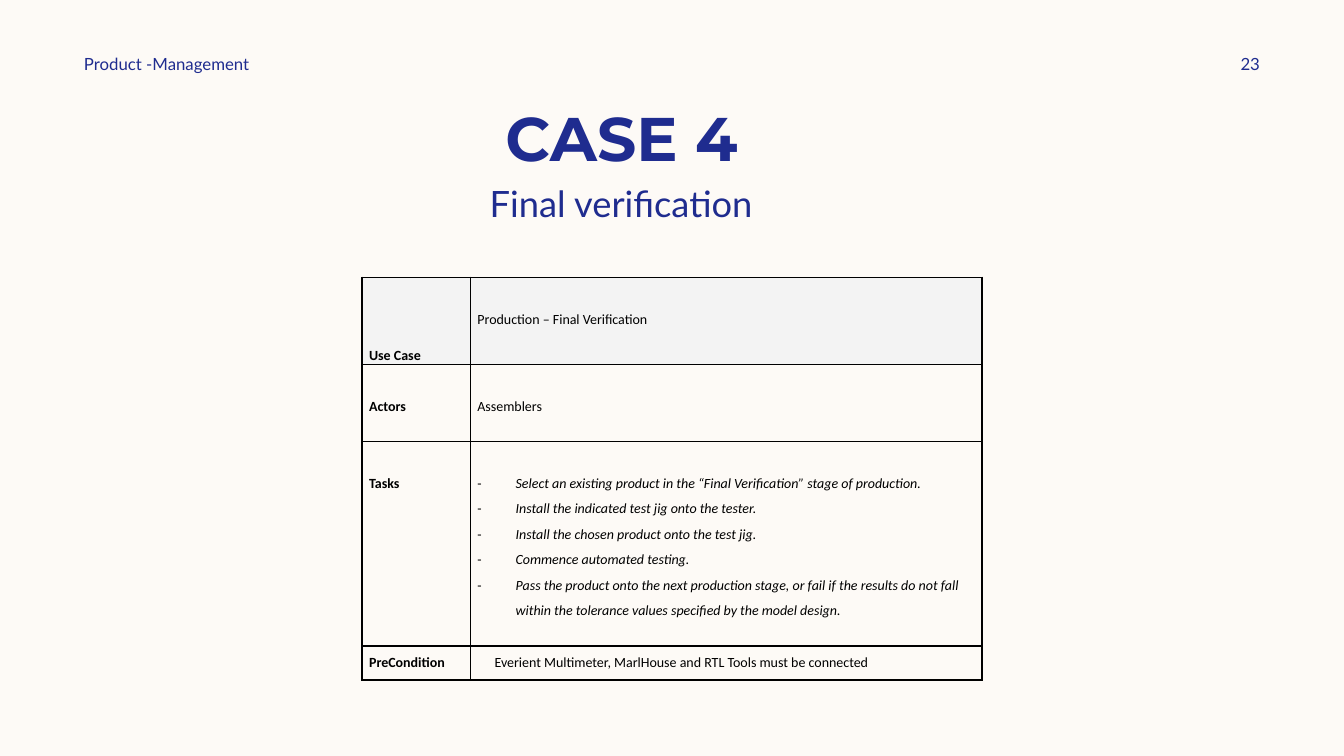
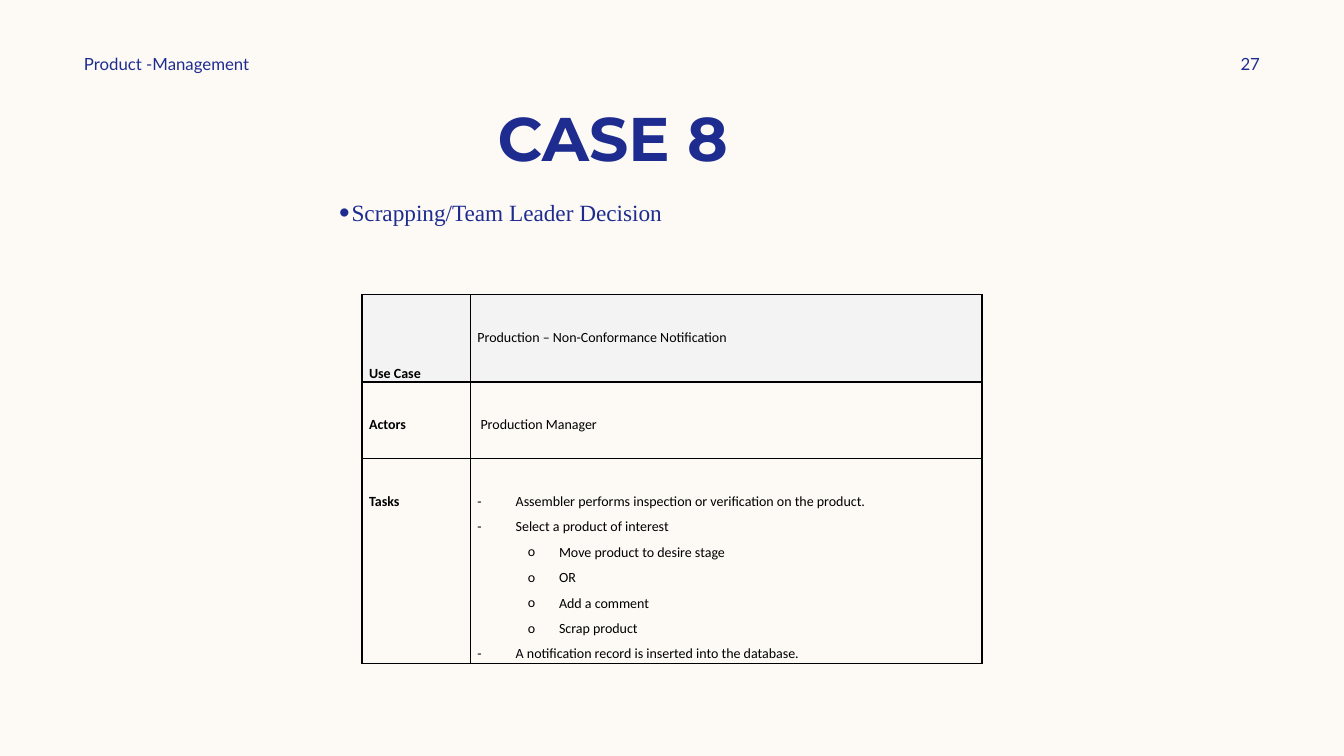
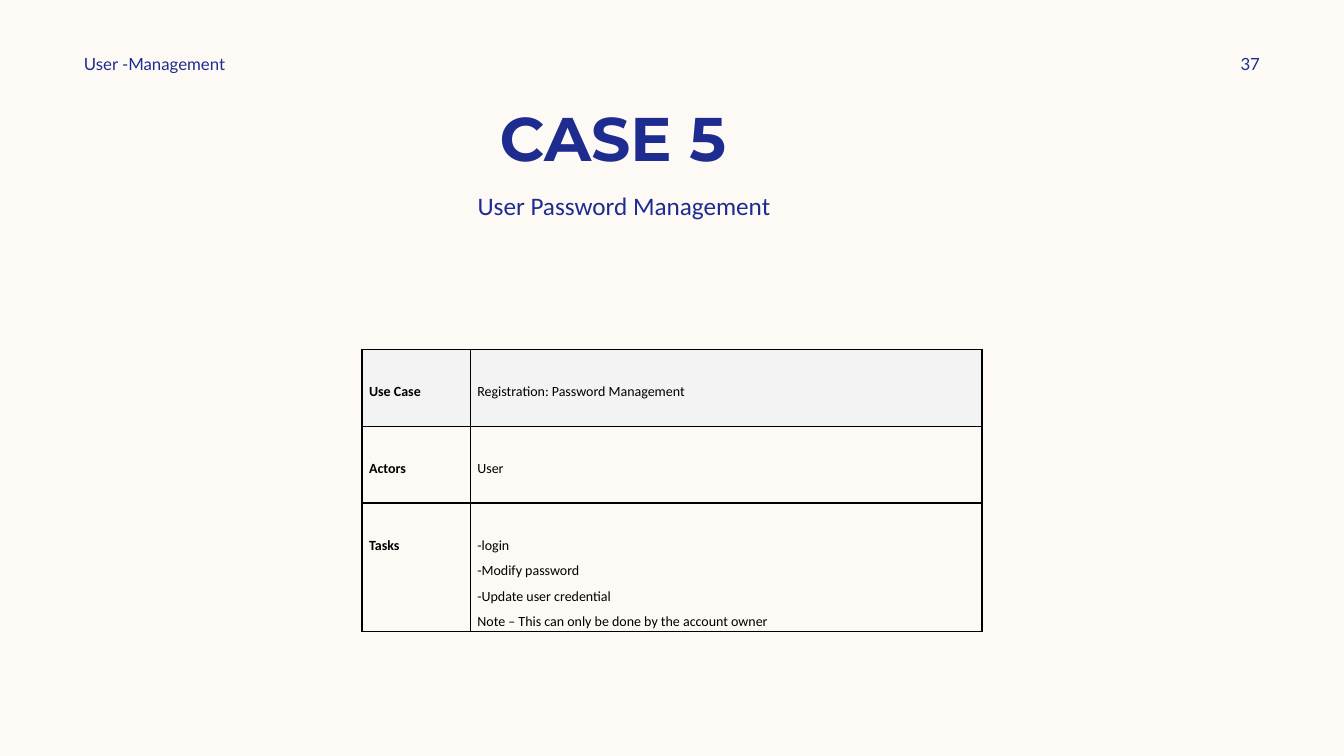
import dataclasses

import pptx
import pptx.dml.color
import pptx.enum.text
import pptx.oxml
import pptx.oxml.ns
import pptx.util

ALIGN = pptx.enum.text.PP_ALIGN
ANCHOR = pptx.enum.text.MSO_ANCHOR
Inches = pptx.util.Inches
Pt = pptx.util.Pt


@dataclasses.dataclass(frozen=True)
class Theme:
    """Colours, fonts and type sizes (points) of the deck."""
    paper: str = "FDFAF6"
    navy: str = "1F2C8F"
    ink: str = "000000"
    shade: str = "F3F3F3"
    title_font: str = "Montserrat"
    label_font: str = "Lato"
    table_font: str = "Calibri"
    title_size: float = 44
    label_size: float = 12
    table_size: float = 10
    table_spacing: float = 1.5
    table_line: float = 18.3
    border: float = 1


THEME = Theme()

# The slide is a grid of 16 columns by 9 rows
WIDTH, HEIGHT = Inches(13.33), Inches(7.5)
COLUMN, ROW = WIDTH / 16, HEIGHT / 9


def rgb(color):
    return pptx.dml.color.RGBColor.from_string(color)


def xml_part(parent, tag, **attributes):
    part = pptx.oxml.parse_xml(f"<a:{tag} {pptx.oxml.ns.nsdecls('a')}/>")
    for name, value in attributes.items():
        part.set(name, str(value))
    parent.append(part)
    return part


def write(frame, text, size=THEME.table_size, font=THEME.table_font,
          color=THEME.ink, bold=False, italic=False, align=ALIGN.LEFT,
          spacing=1.0, bullet=None, left=0, hang=0, level=0):
    """Add one paragraph; left and hang are indents in inches."""
    para = frame.paragraphs[0]
    if para.runs:
        para = frame.add_paragraph()
    para.level = level
    properties = para._p.get_or_add_pPr()
    properties.set("marL", str(Inches(left)))
    properties.set("indent", str(-Inches(hang)))
    if bullet:
        xml_part(properties, "buFont", typeface=THEME.table_font)
        xml_part(properties, "buChar", char=bullet)
    else:
        xml_part(properties, "buNone")
    para.alignment = align
    para.line_spacing = spacing
    para.space_before = para.space_after = Pt(0)
    span = para.add_run()
    span.text = text
    span.font.name, span.font.size = font, Pt(size)
    span.font.bold, span.font.italic = bold, italic
    span.font.color.rgb = rgb(color)


class CaseDeck:
    """Holds the deck, its theme and the current page."""

    def __init__(self, theme):
        self.theme = theme
        self.deck = pptx.Presentation()
        self.deck.slide_width, self.deck.slide_height = WIDTH, HEIGHT
        fill = self.deck.slide_master.background.fill
        fill.solid()
        fill.fore_color.rgb = rgb(theme.paper)
        self.page = None

    def place(self, box, column, row, columns, rows, anchor):
        box.left, box.top = int(column * COLUMN), int(row * ROW)
        box.width, box.height = int(columns * COLUMN), int(rows * ROW)
        frame = box.text_frame
        frame.word_wrap = True
        frame.auto_size = pptx.enum.text.MSO_AUTO_SIZE.NONE
        frame.vertical_anchor = anchor
        return frame

    def label(self, text, column, columns, align):
        box = self.page.shapes.add_textbox(0, 0, 0, 0)
        frame = self.place(box, column, 0.6, columns, 0.32, ANCHOR.MIDDLE)
        frame.margin_left = frame.margin_right = 0
        write(frame, text, size=self.theme.label_size,
              font=self.theme.label_font, color=self.theme.navy, align=align)

    def add_page(self, section, number, title):
        self.page = self.deck.slides.add_slide(self.deck.slide_layouts[1])
        frame = self.place(self.page.shapes.title, 1, 1, 12.8, 1.13,
                           ANCHOR.BOTTOM)
        write(frame, title, size=self.theme.title_size, bold=True,
              font=self.theme.title_font, color=self.theme.navy,
              align=ALIGN.CENTER)
        self.label(section, 1, 4.2, ALIGN.LEFT)
        self.label(number, 13.7, 1.3, ALIGN.RIGHT)

    def subtitle(self, text, **text_format):
        frame = self.place(self.page.placeholders[1], 3.91, 2.2, 6.97, 0.58,
                           ANCHOR.TOP)
        write(frame, text, color=self.theme.navy, **text_format)

    def cell(self, cell, entries, shaded, top_lines, anchor):
        properties = cell._tc.get_or_add_tcPr()
        for side in ("lnL", "lnR", "lnT", "lnB"):
            line = xml_part(properties, side, w=Pt(self.theme.border))
            xml_part(xml_part(line, "solidFill"), "srgbClr",
                     val=self.theme.ink)
        if shaded:
            cell.fill.solid()
            cell.fill.fore_color.rgb = rgb(self.theme.shade)
        else:
            cell.fill.background()
        cell.margin_left = cell.margin_right = Inches(0.07)
        cell.margin_top = Pt(top_lines * self.theme.table_line)
        cell.margin_bottom = 0
        cell.vertical_anchor = anchor
        for text, text_format in entries:
            write(cell.text_frame, text, spacing=self.theme.table_spacing,
                  **text_format)

    def case_table(self, row, records, low_heading=False):
        """Each record is label, entries, height and top gap in lines."""
        widths = [int(1.29 * COLUMN), int(6.09 * COLUMN)]
        heights = [Pt(record[2] * self.theme.table_line) for record in records]
        table = self.page.shapes.add_table(
            len(records), 2, int(4.31 * COLUMN), int(row * ROW),
            sum(widths), sum(heights)).table
        table.first_row = table.horz_banding = False
        for column, width in zip(table.columns, widths):
            column.width = width
        for index, (label, entries, _, gap) in enumerate(records):
            table.rows[index].height = heights[index]
            heading = index == 0
            low = heading and low_heading
            self.cell(table.cell(index, 0), [(label, {"bold": True})], heading,
                      0 if low else gap, ANCHOR.BOTTOM if low else ANCHOR.TOP)
            self.cell(table.cell(index, 1), entries, heading, gap, ANCHOR.TOP)


def entries(*texts, **text_format):
    return [(text, text_format) for text in texts]


def main():
    cases = CaseDeck(THEME)
    dash = {"bullet": "-", "left": 0.38, "hang": 0.38}
    circle = {"bullet": "o", "left": 0.81, "hang": 0.31, "level": 1}
    tight_dash = {"bullet": "-", "left": 0.04, "hang": 0.04}

    # Final verification
    cases.add_page("Product -Management", "23", "CASE 4")
    cases.subtitle("Final verification", size=25.9, font=THEME.label_font,
                   align=ALIGN.CENTER, spacing=0.8)
    cases.case_table(3.3, [
        ("Use Case", entries("Production – Final Verification"), 3.4, 1),
        ("Actors", entries("Assemblers"), 3, 1),
        ("Tasks", entries(
            "Select an existing product in the “Final Verification” stage of "
            "production.",
            "Install the indicated test jig onto the tester.",
            "Install the chosen product onto the test jig.",
            "Commence automated testing.",
            "Pass the product onto the next production stage, or fail if the "
            "results do not fall within the tolerance values specified by the "
            "model design.", italic=True, **dash), 8, 1),
        ("PreCondition", entries(
            "Everient Multimeter, MarlHouse and RTL Tools must be connected",
            left=0.17), 1.33, 0),
    ], low_heading=True)

    # Scrapping decision
    cases.add_page("Product -Management", "27", "CASE 8 ")
    cases.subtitle("Scrapping/Team Leader Decision", size=16.6,
                   font="Times New Roman", spacing=1.3,
                   bullet="•", left=0.13, hang=0.13)
    cases.case_table(3.51, [
        ("Use Case", entries("Production – Non-Conformance Notification"),
         3.4, 1),
        ("Actors", entries(" Production Manager"), 3, 1),
        ("Tasks",
         entries("Assembler performs inspection or verification on the "
                 "product.", "Select a product of interest", **dash)
         + entries("Move product to desire stage", "OR", "Add a comment",
                   "Scrap product", **circle)
         + entries("A notification record is inserted into the database.",
                   **dash), 8, 1),
    ], low_heading=True)

    # Password management
    cases.add_page("User -Management", "37", "CASE 5 ")
    cases.subtitle(" User Password Management", size=18, align=ALIGN.CENTER)
    cases.case_table(4.16, [
        ("Use Case", entries("Registration: Password Management"), 3, 1),
        ("Actors", entries("User"), 3, 1),
        ("Tasks",
         entries("login", "Modify password", "Update user credential",
                 **tight_dash)
         + entries("Note – This can only be done by the account owner"), 5, 1),
    ])

    cases.deck.save("out.pptx")


if __name__ == "__main__":
    main()
